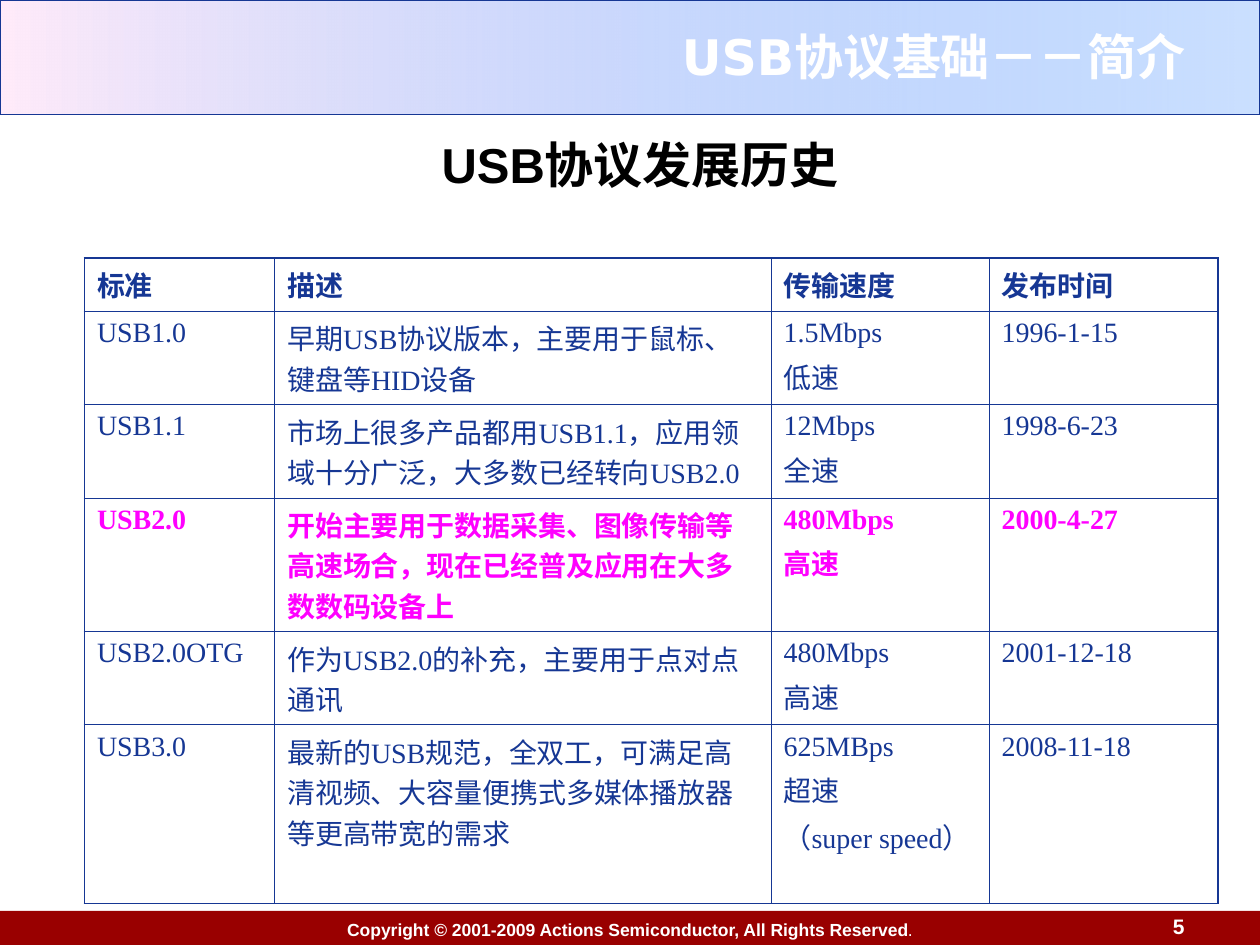
import dataclasses

import pptx
import pptx.dml.color
import pptx.enum.shapes
import pptx.enum.text
import pptx.oxml
import pptx.oxml.ns
import pptx.util
from pptx.util import Inches

ALIGN = pptx.enum.text.PP_ALIGN
ANCHOR = pptx.enum.text.MSO_ANCHOR
RECTANGLE = pptx.enum.shapes.MSO_SHAPE.RECTANGLE


@dataclasses.dataclass(frozen=True)
class Theme:
    navy: str = "163794"
    magenta: str = "FF00FF"
    white: str = "FFFFFF"
    black: str = "000000"
    footer_red: str = "990000"
    banner_blue: str = "5E9EFF"
    banner_pink: str = "FFEBFA"
    title_font: str = "DejaVu Sans"
    heading_font: str = "Arial"
    body_font: str = "Times New Roman"
    heading_size: float = 28
    table_size: float = 16
    number_size: float = 12
    copyright_size: float = 10
    shape_line: float = 0.75
    outer_line: float = 1.08
    inner_line: float = 0.45


THEME = Theme()

COLUMN_WIDTHS = (1.51, 3.94, 1.73, 1.82)
ROW_HEIGHTS = (0.37, 0.69, 0.69, 0.9, 0.69, 1.28)
HIGHLIGHTED = "USB2.0"
STANDARDS = (
    ("标准", "描述", "传输速度", "发布时间"),
    ("USB1.0", "早期USB协议版本，主要用于鼠标、键盘等HID设备", "1.5Mbps\n低速", "1996-1-15"),
    ("USB1.1", "市场上很多产品都用USB1.1，应用领域十分广泛，大多数已经转向USB2.0",
     "12Mbps\n全速", "1998-6-23"),
    (HIGHLIGHTED, "开始主要用于数据采集、图像传输等高速场合，现在已经普及应用在大多数数码设备上",
     "480Mbps\n高速", "2000-4-27"),
    ("USB2.0OTG", "作为USB2.0的补充，主要用于点对点通讯", "480Mbps\n高速", "2001-12-18"),
    ("USB3.0", "最新的USB规范，全双工，可满足高清视频、大容量便携式多媒体播放器等更高带宽的需求",
     "625MBps\n超速\n（super speed）", "2008-11-18"),
)


def rgb(color):
    return pptx.dml.color.RGBColor.from_string(color)


def add_run(paragraph, text, font, size, color, bold=True):
    run = paragraph.add_run()
    run.text = text
    values = {"name": font, "size": pptx.util.Pt(size), "bold": bold}
    for attribute, value in values.items():
        setattr(run.font, attribute, value)
    run.font.color.rgb = rgb(color)


def set_frame(frame, align, anchor=ANCHOR.MIDDLE, wrap=True):
    values = {"word_wrap": wrap, "vertical_anchor": anchor,
              "auto_size": pptx.enum.text.MSO_AUTO_SIZE.NONE}
    for attribute, value in values.items():
        setattr(frame, attribute, value)
    paragraph = frame.paragraphs[0]
    paragraph.alignment = align
    return paragraph


def add_rectangle(slide, box, fill=None, line=None):
    rectangle = slide.shapes.add_shape(RECTANGLE, *map(Inches, box))
    rectangle.shadow.inherit = False
    if fill:
        rectangle.fill.solid()
        rectangle.fill.fore_color.rgb = rgb(fill)
    if line:
        rectangle.line.color.rgb = rgb(line)
        rectangle.line.width = pptx.util.Pt(THEME.shape_line)
    else:
        rectangle.line.fill.background()
    return rectangle


def build_banner(slide, banner_box, title_box):
    banner = add_rectangle(slide, banner_box, line=THEME.navy)
    banner.fill.gradient()
    banner.fill.gradient_angle = 180
    stops = banner.fill.gradient_stops
    for stop, color in zip(stops, (THEME.banner_blue, THEME.banner_pink)):
        stop.color.rgb = rgb(color)
    # The blue end is 32% opaque
    blue = banner.element.find(".//" + pptx.oxml.ns.qn("a:srgbClr"))
    blue.append(pptx.oxml.parse_xml(
        f'<a:alpha {pptx.oxml.ns.nsdecls("a")} val="32000"/>'))

    # Title sits in front of the banner
    title = slide.shapes.title
    title.element.addprevious(banner.element)
    title.left, title.top, title.width, title.height = map(Inches, title_box)
    paragraph = set_frame(title.text_frame, ALIGN.RIGHT)
    add_run(paragraph, "USB协议基础－－简介", THEME.title_font,
            THEME.heading_size, THEME.white)


def build_heading(slide, box):
    heading = add_rectangle(slide, box, THEME.white, THEME.white)
    paragraph = set_frame(heading.text_frame, ALIGN.CENTER, wrap=False)
    add_run(paragraph, "USB协议发展历史", THEME.heading_font,
            THEME.heading_size, THEME.black)


def add_borders(cell, widths):
    properties = cell._tc.get_or_add_tcPr()
    for side, width in widths.items():
        properties.append(pptx.oxml.parse_xml(
            f'<a:ln{side} {pptx.oxml.ns.nsdecls("a")} w="{pptx.util.Pt(width)}">'
            f'<a:solidFill><a:srgbClr val="{THEME.navy}"/></a:solidFill></a:ln{side}>'))


def fill_cell(cell, text, font, color, bold):
    for index, line in enumerate(text.split("\n")):
        frame = cell.text_frame
        paragraph = frame.add_paragraph() if index else frame.paragraphs[0]
        if index:
            paragraph.space_before = pptx.util.Pt(4)
        add_run(paragraph, line, font, THEME.table_size, color, bold)


def build_standards_table(slide, box):
    rows, columns = len(STANDARDS), len(COLUMN_WIDTHS)
    table = slide.shapes.add_table(rows, columns, *map(Inches, box)).table
    table.first_row = table.horz_banding = False
    for column, width in zip(table.columns, COLUMN_WIDTHS):
        column.width = Inches(width)
    for row, height in zip(table.rows, ROW_HEIGHTS):
        row.height = Inches(height)

    for r, standard in enumerate(STANDARDS):
        highlighted = standard[0] == HIGHLIGHTED
        font = THEME.body_font if r else THEME.heading_font
        color = THEME.magenta if highlighted else THEME.navy
        for c, text in enumerate(standard):
            cell = table.cell(r, c)
            edges = {"L": c == 0, "R": c == columns - 1,
                     "T": r == 0, "B": r == rows - 1}
            add_borders(cell, {side: THEME.outer_line if outer else THEME.inner_line
                               for side, outer in edges.items()})
            cell.fill.background()
            fill_cell(cell, text, font, color, bold=highlighted or r == 0)


def build_footer(slide, bar_box, number_box):
    bar = add_rectangle(slide, bar_box, THEME.footer_red)
    paragraph = set_frame(bar.text_frame, ALIGN.CENTER, wrap=False)
    notice = "Copyright © 2001-2009 Actions Semiconductor, All Rights Reserved"
    for text, bold in ((notice, True), (".", False)):
        add_run(paragraph, text, THEME.heading_font, THEME.copyright_size,
                THEME.white, bold)

    # Slide number
    number = slide.shapes.add_textbox(*map(Inches, number_box))
    paragraph = set_frame(number.text_frame, ALIGN.RIGHT, ANCHOR.BOTTOM)
    add_run(paragraph, "5", THEME.heading_font, THEME.number_size, THEME.white)


def main():
    presentation = pptx.Presentation()
    presentation.slide_width = Inches(10)
    presentation.slide_height = Inches(7.5)
    slide = presentation.slides.add_slide(presentation.slide_layouts[5])
    build_banner(slide, (0, 0, 10, 0.91), (2.01, 0.13, 7.5, 0.62))
    build_footer(slide, (0, 7.23, 10, 0.29), (8.94, 7.22, 0.56, 0.28))
    build_heading(slide, (2.09, 0.99, 5.98, 0.63))
    build_standards_table(slide, (0.67, 2.05, sum(COLUMN_WIDTHS), sum(ROW_HEIGHTS)))
    presentation.save("out.pptx")


if __name__ == "__main__":
    main()
